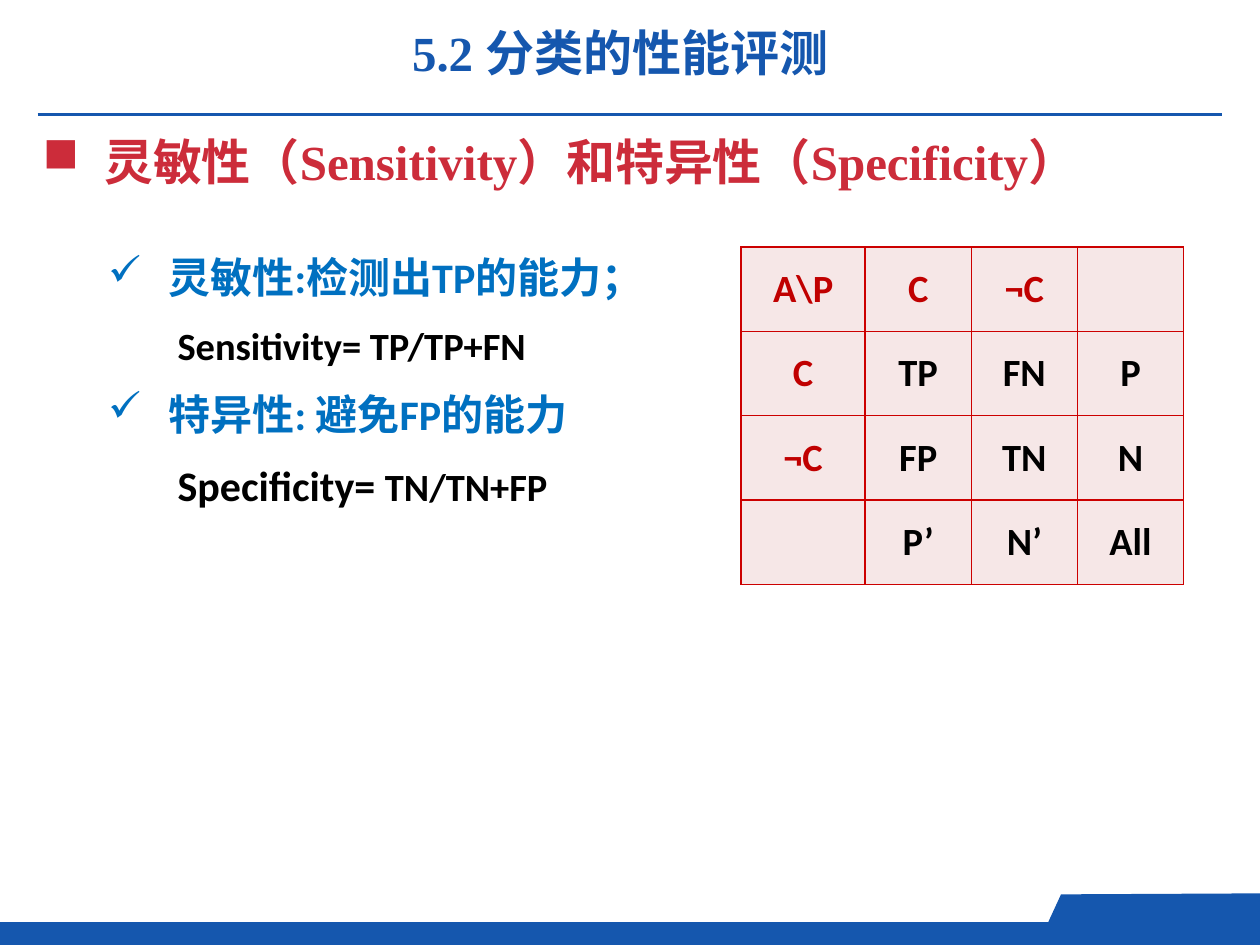
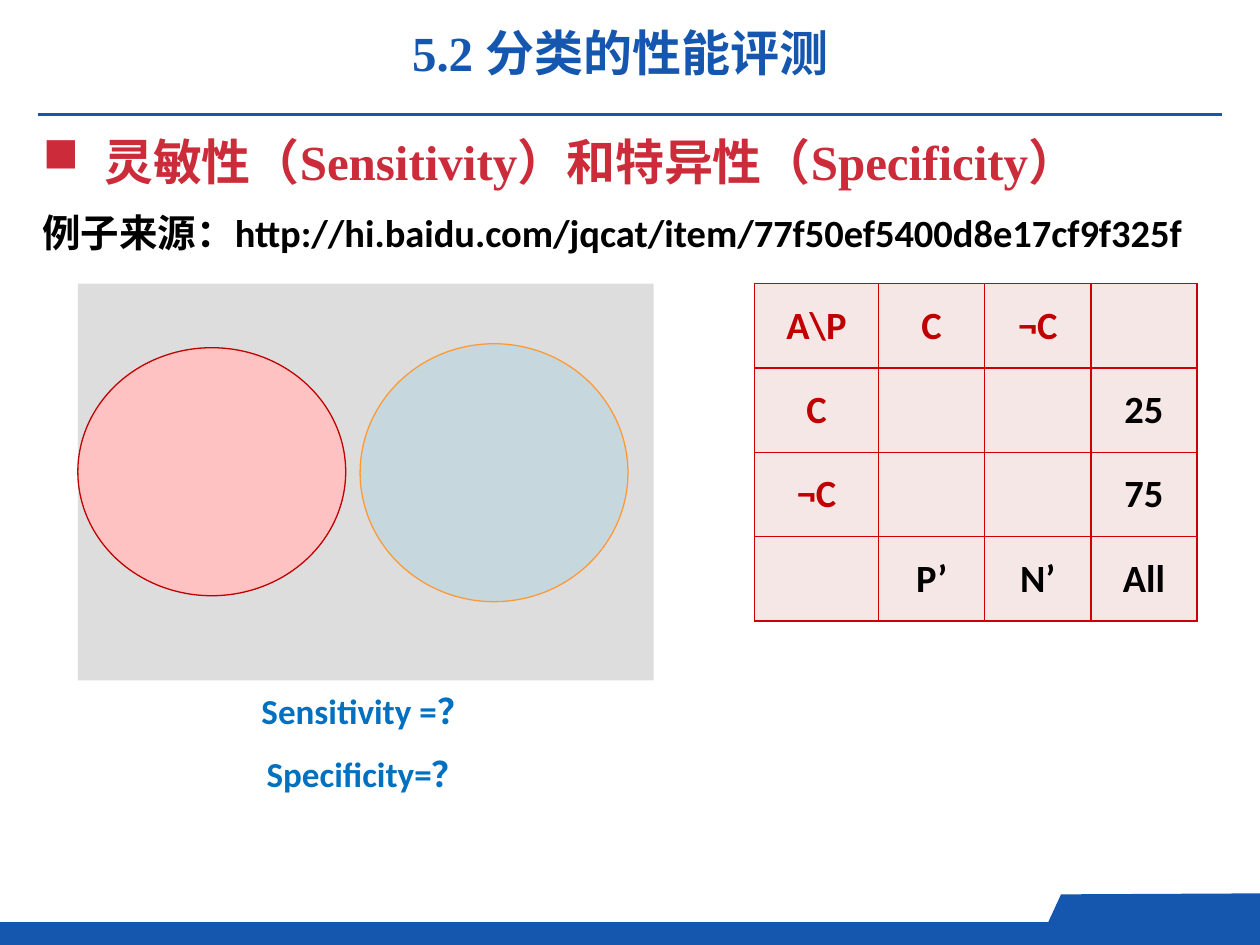
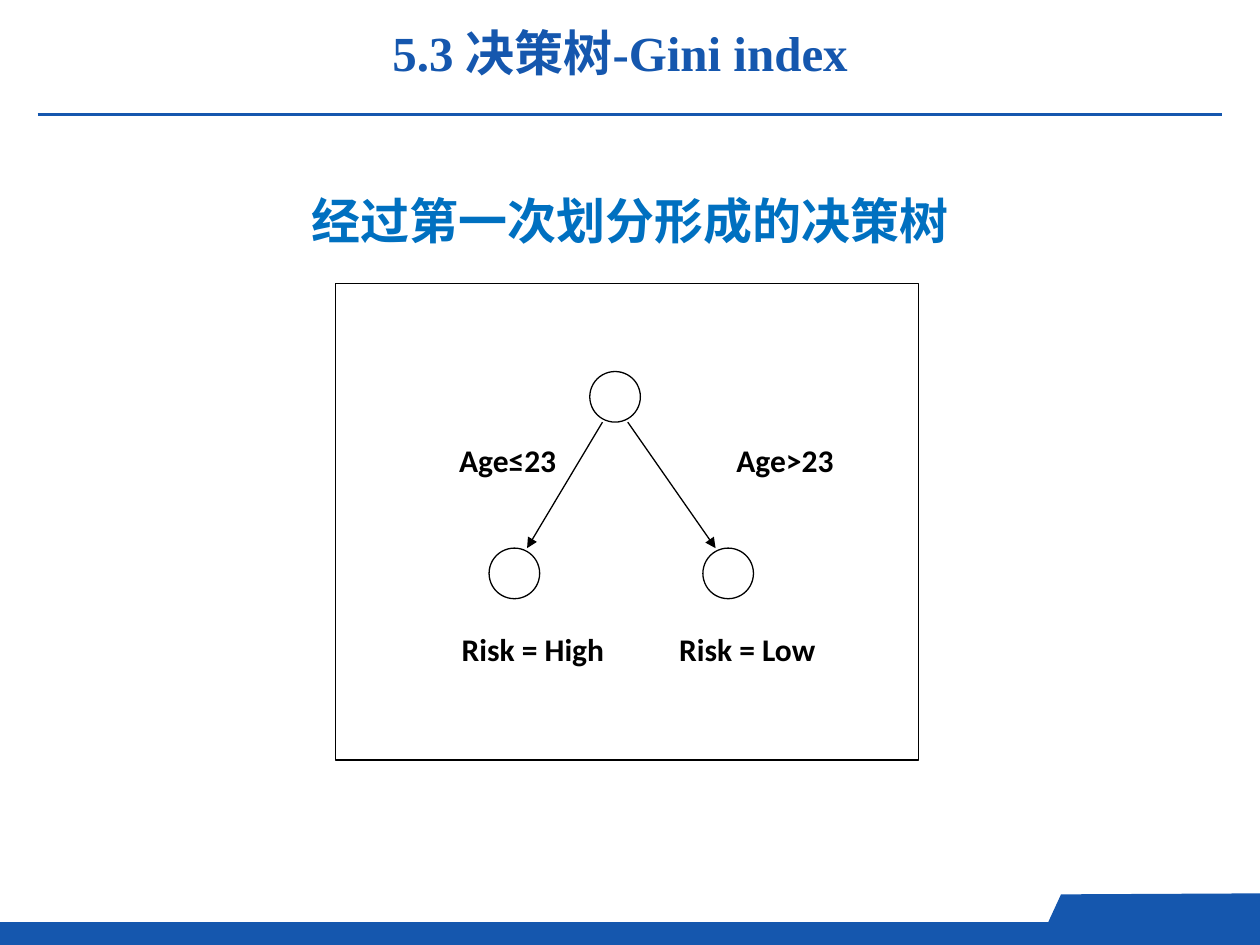
from dataclasses import dataclass

from lxml.etree import SubElement
from pptx import Presentation
from pptx.dml.color import RGBColor
from pptx.enum.shapes import MSO_CONNECTOR, MSO_SHAPE
from pptx.enum.text import MSO_ANCHOR, MSO_AUTO_SIZE, PP_ALIGN
from pptx.oxml.ns import qn
from pptx.util import Cm, Pt


@dataclass(frozen=True)
class Theme:
    blue: RGBColor = RGBColor(0x15, 0x57, 0xAE)
    sky: RGBColor = RGBColor(0x00, 0x70, 0xC0)
    cyan: RGBColor = RGBColor(0x00, 0xB0, 0xF0)
    crimson: RGBColor = RGBColor(0xCC, 0x2C, 0x3A)
    red: RGBColor = RGBColor(0xC0, 0x00, 0x00)
    orange: RGBColor = RGBColor(0xFF, 0x99, 0x33)
    rose: RGBColor = RGBColor(0xFF, 0xC2, 0xC2)
    cell: RGBColor = RGBColor(0xF6, 0xE7, 0xE7)
    grey: RGBColor = RGBColor(0xDD, 0xDD, 0xDD)
    black: RGBColor = RGBColor(0, 0, 0)
    white: RGBColor = RGBColor(255, 255, 255)
    border: str = "CC0000"
    serif: str = "Times New Roman"
    sans: str = "Calibri"
    chinese: str = "Noto Sans CJK SC"
    title: Pt = Pt(28)
    item: Pt = Pt(24)
    body: Pt = Pt(22)
    result: Pt = Pt(20)
    label: Pt = Pt(18)


theme = Theme()


def style_paragraph(para, size, colour, font=theme.sans, align=PP_ALIGN.LEFT):
    """Set the alignment and the look of every run."""
    para.alignment = align
    for span in para.runs:
        span.font.size = size
        span.font.bold = True
        span.font.color.rgb = colour
        span.font.name = font
        SubElement(span._r.get_or_add_rPr(), qn("a:ea"), typeface=theme.chinese)


def add_text(page, frame, lines, spacing=1.0, before=0, **style):
    """Add a text box; each line is text, size, colour, margin, hanging indent, marker."""
    box = page.shapes.add_textbox(*map(Cm, frame))
    box.text_frame.word_wrap = True
    for index, (text, size, colour, margin, hanging, marker) in enumerate(lines):
        para = box.text_frame.paragraphs[0] if index == 0 else box.text_frame.add_paragraph()
        para.text = text
        para.line_spacing = spacing
        para.space_before = Pt(before if index else 0)
        properties = para._p.get_or_add_pPr()
        properties.set("marL", str(Cm(margin)))
        properties.set("indent", str(-Cm(hanging)))
        if marker:
            SubElement(properties, qn("a:buChar"), char=marker)
        style_paragraph(para, size, colour, **style)
    return box


deck = Presentation()
deck.slide_width, deck.slide_height = Cm(25.4), Cm(19.05)
layout = deck.slide_layouts[5]

# Titles
pages = []
for title in ("5.2 分类的性能评测", "5.2 分类的性能评测", "5.3 决策树-Gini index"):
    page = deck.slides.add_slide(layout)
    holder = page.shapes.title
    holder.left, holder.top, holder.width, holder.height = Cm(2.3), Cm(0.33), Cm(20.4), Cm(1.45)
    holder.text_frame.text = title
    holder.text_frame.auto_size = MSO_AUTO_SIZE.NONE
    holder.text_frame.vertical_anchor = MSO_ANCHOR.TOP
    style_paragraph(holder.text_frame.paragraphs[0], theme.title, theme.blue,
                    theme.serif, PP_ALIGN.CENTER)
    pages.append(page)
formula_page, example_page, tree_page = pages

# Footer band, corner tab and title rule, moved into the shared layout
band = formula_page.shapes.add_shape(
    MSO_SHAPE.FLOWCHART_PROCESS, 0, Cm(18.58), deck.slide_width, Cm(0.47))
outline = formula_page.shapes.build_freeform(Cm(25.4), Cm(18.92))
outline.add_line_segments(
    [(Cm(x), Cm(y)) for x, y in ((25.4, 18.01), (21.39, 18.03), (20.98, 18.92))])
tab = outline.convert_to_shape()
for shape in (band, tab):
    shape.shadow.inherit = False
    shape.fill.solid()
    shape.fill.fore_color.rgb = theme.blue
    shape.line.fill.background()
rule = formula_page.shapes.add_connector(
    MSO_CONNECTOR.STRAIGHT, Cm(0.76), Cm(2.31), Cm(24.64), Cm(2.31))
for shape in (band, tab, rule):
    layout.shapes.element.append(shape.element)

# Section heading of the first two slides
for page in (formula_page, example_page):
    add_text(page, (0.61, 2.41, 24.2, 1.57),
             [("灵敏性（Sensitivity）和特异性（Specificity）", theme.title, theme.crimson,
               1.24, 1.24, "■")], spacing=1.1, font=theme.serif)

# Slide 1: definitions and formulas
formulas = add_text(formula_page, (0.91, 4.75, 13.21, 5.82), [
    ("灵敏性:检测出TP的能力；", theme.item, theme.sky, 2.24, 1.22, "✓"),
    ("Sensitivity= TP/TP+FN", theme.body, theme.black, 2.42, 0, None),
    ("特异性: 避免FP的能力", theme.item, theme.sky, 2.24, 1.22, "✓"),
    ("Specificity= ", theme.item, theme.black, 2.42, 0, None),
], spacing=1.2, before=6)
ratio = formulas.text_frame.paragraphs[-1].add_run()
ratio.text = "TN/TN+FP"
ratio.font.size = theme.body
ratio.font.bold = True
ratio.font.name = theme.sans
ratio.font.color.rgb = theme.black

# Slide 2: source and questions
add_text(example_page, (0.61, 3.99, 23.8, 1.7),
         [("例子来源：http://hi.baidu.com/jqcat/item/77f50ef5400d8e17cf9f325f",
           theme.body, theme.black, 0, 0, None)], spacing=1.1)
add_text(example_page, (2.95, 13.36, 8.89, 3.58),
         [(text, theme.result, theme.sky, 0, 0, None)
          for text in ("Sensitivity =？", "Specificity=？")],
         spacing=1.5, align=PP_ALIGN.CENTER)

# Confusion matrices
header, totals = ("A\\P", "C", "¬C", ""), ("", "P’", "N’", "All")
matrices = [
    (formula_page, 14.94, 4.98,
     (header, ("C", "TP", "FN", "P"), ("¬C", "FP", "TN", "N"), totals)),
    (example_page, 15.21, 5.72,
     (header, ("C", "", "", "25"), ("¬C", "", "", "75"), totals)),
]
for page, left, top, rows in matrices:
    table = page.shapes.add_table(4, 4, Cm(left), Cm(top), Cm(8.92), Cm(6.8)).table
    table.first_row = table.horz_banding = False
    for column, width in zip(table.columns, (2.5, 2.14, 2.14, 2.14)):
        column.width = Cm(width)
    for row_index, row in enumerate(rows):
        table.rows[row_index].height = Cm(1.7)
        for column_index, text in enumerate(row):
            cell = table.cell(row_index, column_index)
            cell.text_frame.text = text
            cell.vertical_anchor = MSO_ANCHOR.MIDDLE
            is_header = row_index == 0 or column_index == 0
            style_paragraph(cell.text_frame.paragraphs[0], theme.body,
                            theme.red if is_header and row is not totals else theme.black,
                            align=PP_ALIGN.CENTER)
            properties = cell._tc.get_or_add_tcPr()
            for side in ("a:lnL", "a:lnR", "a:lnT", "a:lnB"):
                border = SubElement(properties, qn(side), w=str(Pt(1)))
                SubElement(SubElement(border, qn("a:solidFill")), qn("a:srgbClr"),
                           val=theme.border)
            cell.fill.solid()
            cell.fill.fore_color.rgb = theme.cell

# Slide 2: population and its two groups; slide 3: frame and tree nodes
node = 1.02
root, high, low = (11.89, 7.49), (9.86, 11.05), (14.17, 11.05)
figures = [
    (example_page, MSO_SHAPE.RECTANGLE, (1.57, 5.72, 11.61, 8), theme.grey, None),
    (example_page, MSO_SHAPE.OVAL, (1.57, 7.01, 5.4, 5), theme.rose, theme.red),
    (example_page, MSO_SHAPE.OVAL, (7.26, 6.93, 5.4, 5.2), theme.cyan, theme.orange),
    (tree_page, MSO_SHAPE.RECTANGLE, (6.76, 5.72, 11.76, 9.6), theme.white, theme.black),
]
figures += [(tree_page, MSO_SHAPE.OVAL, (*corner, node, node), theme.white, theme.black)
            for corner in (root, high, low)]
for page, kind, frame, fill, line in figures:
    shape = page.shapes.add_shape(kind, *map(Cm, frame))
    shape.shadow.inherit = False
    shape.fill.solid()
    shape.fill.fore_color.rgb = fill
    if line is None:
        shape.line.fill.background()
    else:
        shape.line.color.rgb = line
        shape.line.width = Pt(0.75)
    if fill == theme.cyan:
        colour = shape.element.spPr.find(qn("a:solidFill"))[0]
        SubElement(colour, qn("a:alpha"), val="10000")

# Slide 3: subtitle and tree labels
add_text(tree_page, (4.7, 3.71, 16, 1.45),
         [("经过第一次划分形成的决策树", theme.title, theme.sky, 0, 0, None)],
         font=theme.chinese, align=PP_ALIGN.CENTER)
for text, left, top in (("Age≤23", 8.33, 8.76), ("Age>23", 13.92, 8.76),
                        ("Risk = High", 8.84, 12.57), ("Risk = Low", 13.16, 12.57)):
    label = tree_page.shapes.add_shape(
        MSO_SHAPE.RECTANGLE, Cm(left), Cm(top), Cm(3.81), Cm(1.27))
    label.shadow.inherit = False
    label.fill.solid()
    label.fill.fore_color.rgb = theme.white
    label.line.fill.background()
    label.text_frame.text = text
    label.text_frame.vertical_anchor = MSO_ANCHOR.TOP
    style_paragraph(label.text_frame.paragraphs[0], theme.label, theme.black,
                    align=PP_ALIGN.CENTER)

# Slide 3: branches leave and reach the nodes a quarter in from their edges
branches = []
for child, start, end in ((high, 0.25, 0.75), (low, 0.75, 0.25)):
    branches.append(tree_page.shapes.add_connector(
        MSO_CONNECTOR.STRAIGHT,
        Cm(root[0] + start * node), Cm(root[1] + node),
        Cm(child[0] + end * node), Cm(child[1])))

# Line styles
for line, colour, width in ((rule, theme.blue, 1.5),
                            *((branch, theme.black, 0.75) for branch in branches)):
    line.line.color.rgb = colour
    line.line.width = Pt(width)
    if line is not rule:
        SubElement(line.line._get_or_add_ln(), qn("a:tailEnd"), type="triangle")
    SubElement(line.element.spPr, qn("a:effectLst"))

deck.save("out.pptx")
